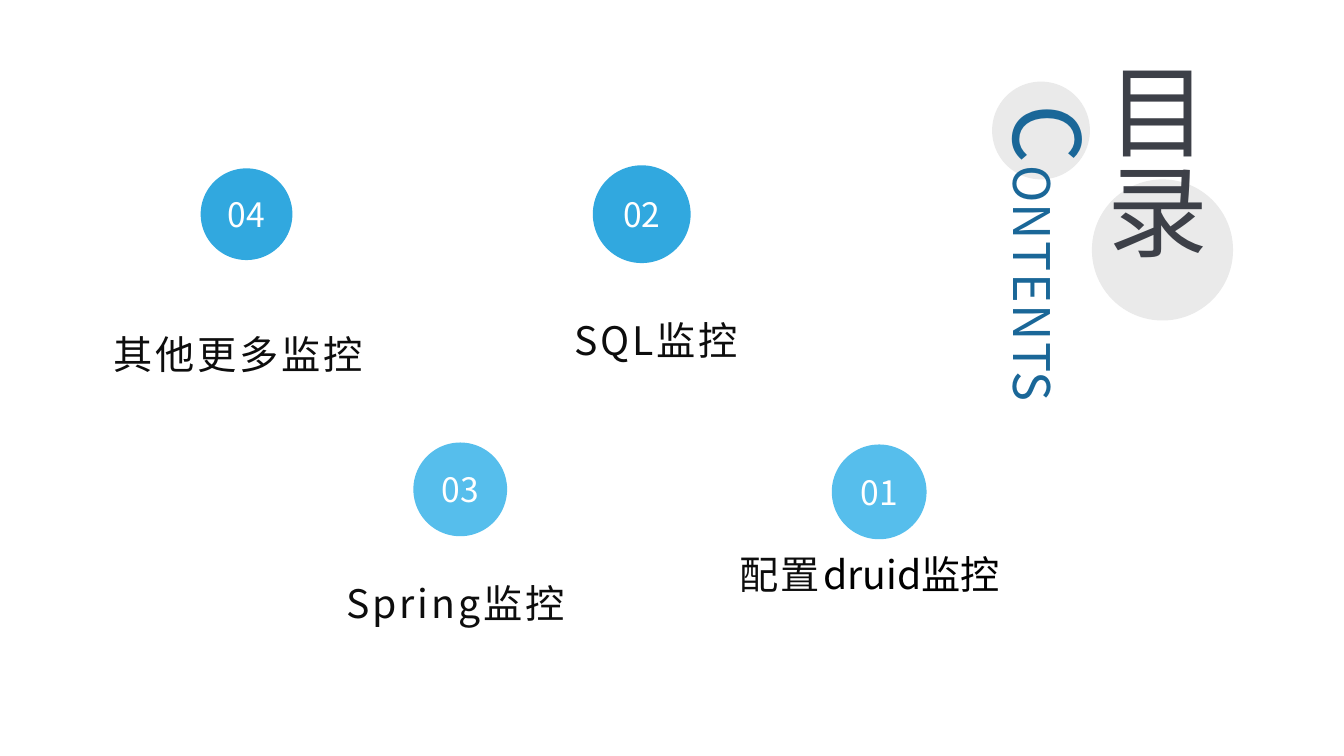
from pptx import Presentation
from pptx.dml.color import RGBColor
from pptx.enum.shapes import MSO_SHAPE
from pptx.enum.text import MSO_ANCHOR, PP_ALIGN
from pptx.oxml.ns import qn
from pptx.util import Inches, Pt
from lxml.etree import SubElement

# Grid: square cells, ten to the inch
CELL = Inches(0.1)
COLS, ROWS = 133.3, 75
FACE = "Noto Sans CJK SC"

WHITE = RGBColor(0xFF, 0xFF, 0xFF)
BLACK = RGBColor(0x00, 0x00, 0x00)
INK = RGBColor(0x0D, 0x0D, 0x0D)
SLATE = RGBColor(0x3D, 0x40, 0x48)
NAVY = RGBColor(0x1A, 0x67, 0x98)
BLUE = RGBColor(0x31, 0xA8, 0xDF)
SKY = RGBColor(0x56, 0xBE, 0xEC)
GREY = RGBColor(0xEA, 0xEA, 0xEA)


def span(*cells):
    return [round(n * CELL) for n in cells]


def add_run(para, text, size=28, color=INK, gap=0):
    run = para.add_run()
    run.text = text
    font = run.font
    font.size, font.name = Pt(size), FACE
    font.color.rgb = color
    props = run._r.get_or_add_rPr()
    SubElement(props, qn("a:ea")).set("typeface", FACE)
    if gap:
        props.set("spc", str(gap * 100))


def set_frame(frame, anchor=MSO_ANCHOR.MIDDLE, pad=(0, 0)):
    frame.word_wrap = True
    frame.vertical_anchor = anchor
    frame.margin_left = frame.margin_right = Inches(pad[0])
    frame.margin_top = frame.margin_bottom = Inches(pad[1])
    return frame.paragraphs[0]


def add_disc(slide, left, top, size, color):
    disc = slide.shapes.add_shape(MSO_SHAPE.OVAL, *span(left, top, size, size))
    disc.shadow.inherit = False
    disc.fill.solid()
    disc.fill.fore_color.rgb = color
    disc.line.fill.background()
    return disc


def add_text(slide, box, runs, tall=False, **frame):
    shape = slide.shapes.add_textbox(*span(*box))
    para = set_frame(shape.text_frame, **frame)
    if tall:
        shape.text_frame._txBody.bodyPr.set("vert", "eaVert")
    for text, style in runs:
        add_run(para, text, **style)


# Vertical heading with its two grey discs
def add_title(slide, left, top):
    add_disc(slide, left + 9.9, top + 12.8, 14, GREY)
    add_disc(slide, left, top + 3.1, 9.7, GREY)
    add_text(slide, (left, top + 5.4, 11.5, 54.2), [
        ("C", dict(size=66, color=NAVY, gap=1)),
        ("ONTENTS", dict(size=36, color=NAVY, gap=1))], tall=True)
    add_text(slide, (left + 8.2, top, 15.7, 25.5),
             [("目录", dict(size=72, color=SLATE))],
             tall=True, pad=(0.1, 0.05))


# Numbered disc with its label below; shift and drop count from the box
def add_item(slide, box, num, runs, size, shift, drop, **frame):
    left, top, width, height = box
    disc = add_disc(slide, left + shift, top, size, SKY if num % 2 else BLUE)
    para = set_frame(disc.text_frame)
    para.alignment = PP_ALIGN.CENTER
    add_run(para, f"{num:02}", size=24, color=WHITE)
    add_text(slide, (left, top + drop, width, height - drop), runs, **frame)


def main():
    deck = Presentation()
    deck.slide_width, deck.slide_height = span(COLS, ROWS)
    slide = deck.slides.add_slide(deck.slide_layouts[6])
    add_title(slide, 98.4, 5)

    # Four entries, read from right to left
    wide = dict(gap=2)
    add_item(slide, (73.3, 44.1, 26.8, 24.2), 1,
             [("配置", wide), ("druid监控", dict(color=BLACK))],
             9.4, 9.2, 10.5, anchor=MSO_ANCHOR.TOP)
    add_item(slide, (57, 16.4, 17.7, 32.7), 2, [("SQL监控", wide)],
             9.7, 1.8, 2)
    add_item(slide, (34.4, 43.9, 23.4, 21.3), 3, [("Spring监控", wide)],
             9.3, 6.6, 10.6)
    add_item(slide, (11.3, 16.7, 25, 24.2), 4, [("其他更多监控", wide)],
             9.1, 8.6, 12.6)
    deck.save("out.pptx")


if __name__ == "__main__":
    main()
